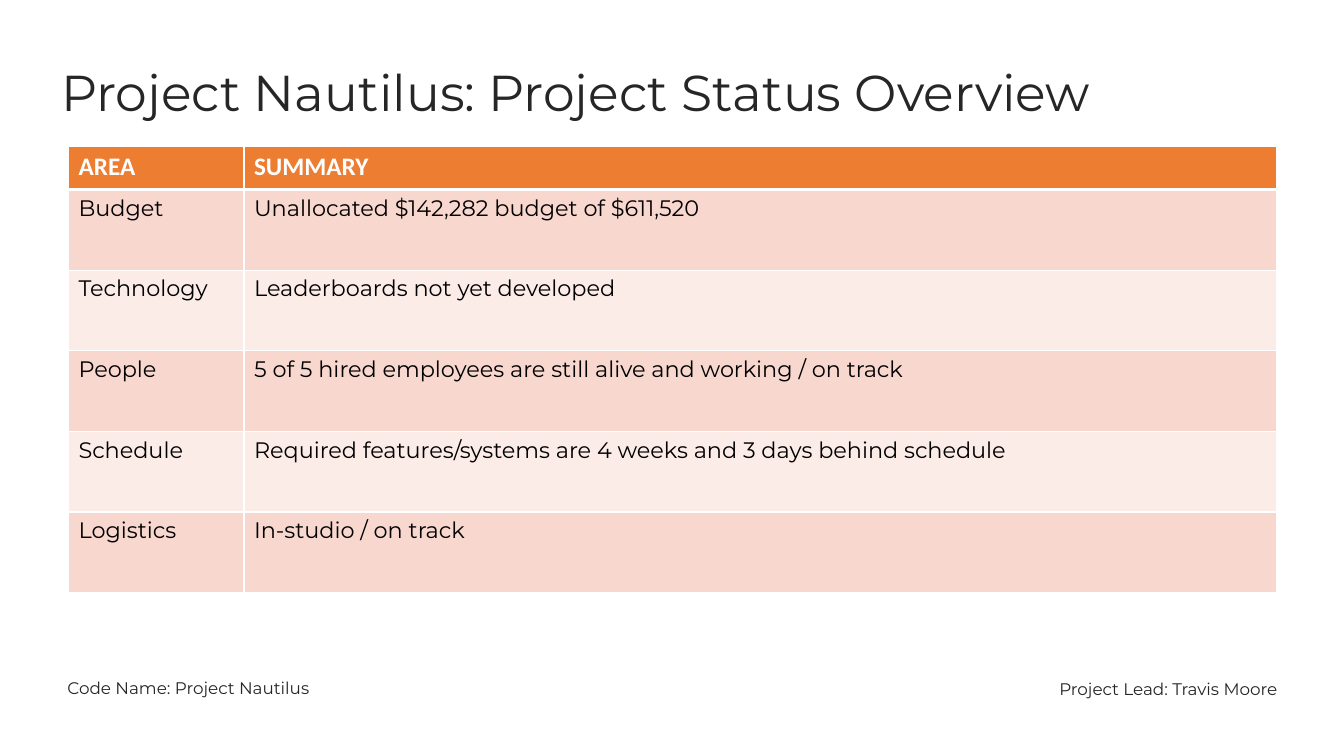
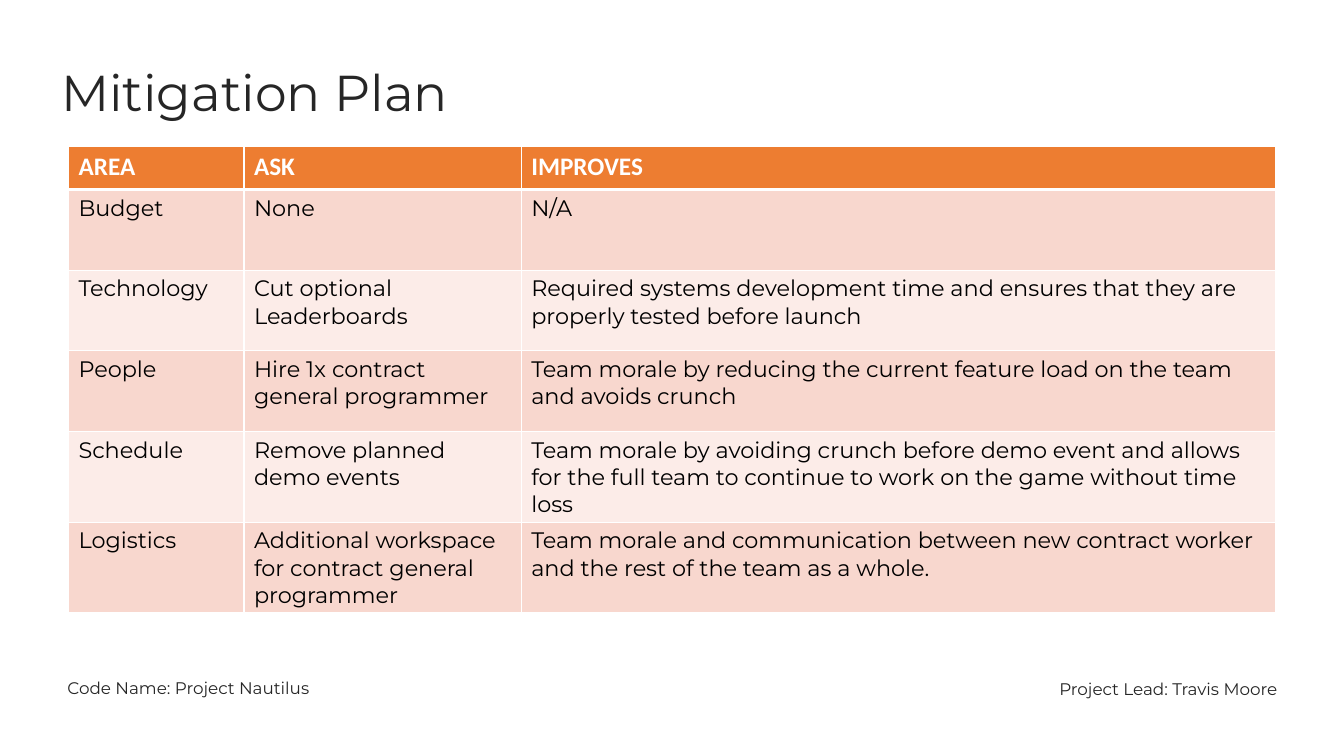
from dataclasses import dataclass

from lxml import etree
from pptx import Presentation
from pptx import util as u
from pptx.dml import color
from pptx.enum import text
from pptx.oxml import ns


@dataclass(frozen=True)
class Theme:
    ink: str = "262626"
    body: str = "000000"
    white: str = "FFFFFF"
    head: str = "ED7D31"
    bands: tuple = ("F8D7CE", "FCECE8")
    font: str = "Montserrat"
    headfont: str = "Calibri"
    title: int = 36
    headsize: int = 18
    cell: int = 16
    foot: int = 12
    rule: int = 1
    headrule: int = 3


class Deck:
    """Holds the style and the current slide."""

    def __init__(self, theme):
        self.theme = theme
        self.file = Presentation()
        self.file.slide_width = u.Inches(13.33)
        self.file.slide_height = u.Inches(7.5)
        self.slide = None

    def page(self, title):
        self.slide = self.file.slides.add_slide(self.file.slide_layouts[6])
        fill = self.slide.background.fill
        fill.solid()
        fill.fore_color.rgb = color.RGBColor.from_string(self.theme.white)
        # Footers
        middle = text.MSO_ANCHOR.MIDDLE
        self.label("Code Name: Project Nautilus", (0.57, 6.62, 3, 0.4),
                   self.theme.foot, middle)
        lead = self.label("Project Lead: Travis Moore", (9.77, 6.63, 3, 0.4),
                          self.theme.foot, middle)
        lead.alignment = text.PP_ALIGN.RIGHT
        # Title
        head = self.label(title, (0.51, 0.27, 12.14, 0.99),
                          self.theme.title, text.MSO_ANCHOR.BOTTOM)
        head.line_spacing = 0.9

    def style(self, para, size, ink, face, bold=False):
        font = para.font
        font.size, font.name, font.bold = u.Pt(size), face, bold
        font.color.rgb = color.RGBColor.from_string(ink)

    def label(self, words, box, size, anchor):
        frame = self.slide.shapes.add_textbox(*map(u.Inches, box)).text_frame
        frame.word_wrap = True
        frame.vertical_anchor = anchor
        para = frame.paragraphs[0]
        para.text = words
        self.style(para, size, self.theme.ink, self.theme.font)
        return para

    def border(self, cell, widths):
        props = cell._tc.get_or_add_tcPr()
        for side, width in zip("LRTB", widths):
            line = etree.SubElement(props, ns.qn(f"a:ln{side}"), w=str(u.Pt(width)))
            fill = etree.SubElement(line, ns.qn("a:solidFill"))
            etree.SubElement(fill, ns.qn("a:srgbClr"), val=self.theme.white)

    def table(self, cols, rows):
        look = self.theme
        heights = [0.43] + [0.8] * (len(rows) - 1)
        box = (0.68, 1.45, sum(cols), sum(heights))
        grid = self.slide.shapes.add_table(
            len(rows), len(cols), *map(u.Inches, box)).table
        for col, width in zip(grid.columns, cols):
            col.width = u.Inches(width)
        for i, (row, height) in enumerate(zip(rows, heights)):
            grid.rows[i].height = u.Inches(height)
            top = look.headrule if i == 1 else look.rule
            base = look.headrule if i == 0 else look.rule
            shade = look.bands[(i - 1) % 2] if i else look.head
            for j, words in enumerate(row):
                cell = grid.cell(i, j)
                # Borders precede the fill in the cell properties
                self.border(cell, (look.rule, look.rule, top, base))
                cell.fill.solid()
                cell.fill.fore_color.rgb = color.RGBColor.from_string(shade)
                cell.text = words
                para = cell.text_frame.paragraphs[0]
                if i:
                    self.style(para, look.cell, look.body, look.font)
                else:
                    self.style(para, look.headsize, look.white, look.headfont, True)


def main():
    deck = Deck(Theme())

    # Status by area
    deck.page("Project Nautilus: Project Status Overview")
    deck.table((1.74, 10.24), [
        ("AREA", "SUMMARY"),
        ("Budget", "Unallocated $142,282 budget of $611,520"),
        ("Technology", "Leaderboards not yet developed"),
        ("People", "5 of 5 hired employees are still alive and working / on track"),
        ("Schedule", "Required features/systems are 4 weeks and 3 days behind schedule"),
        ("Logistics", "In-studio / on track"),
    ])

    # Requests and their benefits
    deck.page("Mitigation Plan")
    deck.table((1.74, 2.75, 7.48), [
        ("AREA", "ASK", "IMPROVES"),
        ("Budget", "None", "N/A"),
        ("Technology", "Cut optional Leaderboards",
         "Required systems development time and ensures that they are "
         "properly tested before launch"),
        ("People", "Hire 1x contract general programmer",
         "Team morale by reducing the current feature load on the team "
         "and avoids crunch"),
        ("Schedule", "Remove planned demo events",
         "Team morale by avoiding crunch before demo event and allows for the "
         "full team to continue to work on the game without time loss"),
        ("Logistics", "Additional workspace for contract general programmer",
         "Team morale and communication between new contract worker and the "
         "rest of the team as a whole."),
    ])

    deck.file.save("out.pptx")


if __name__ == "__main__":
    main()
